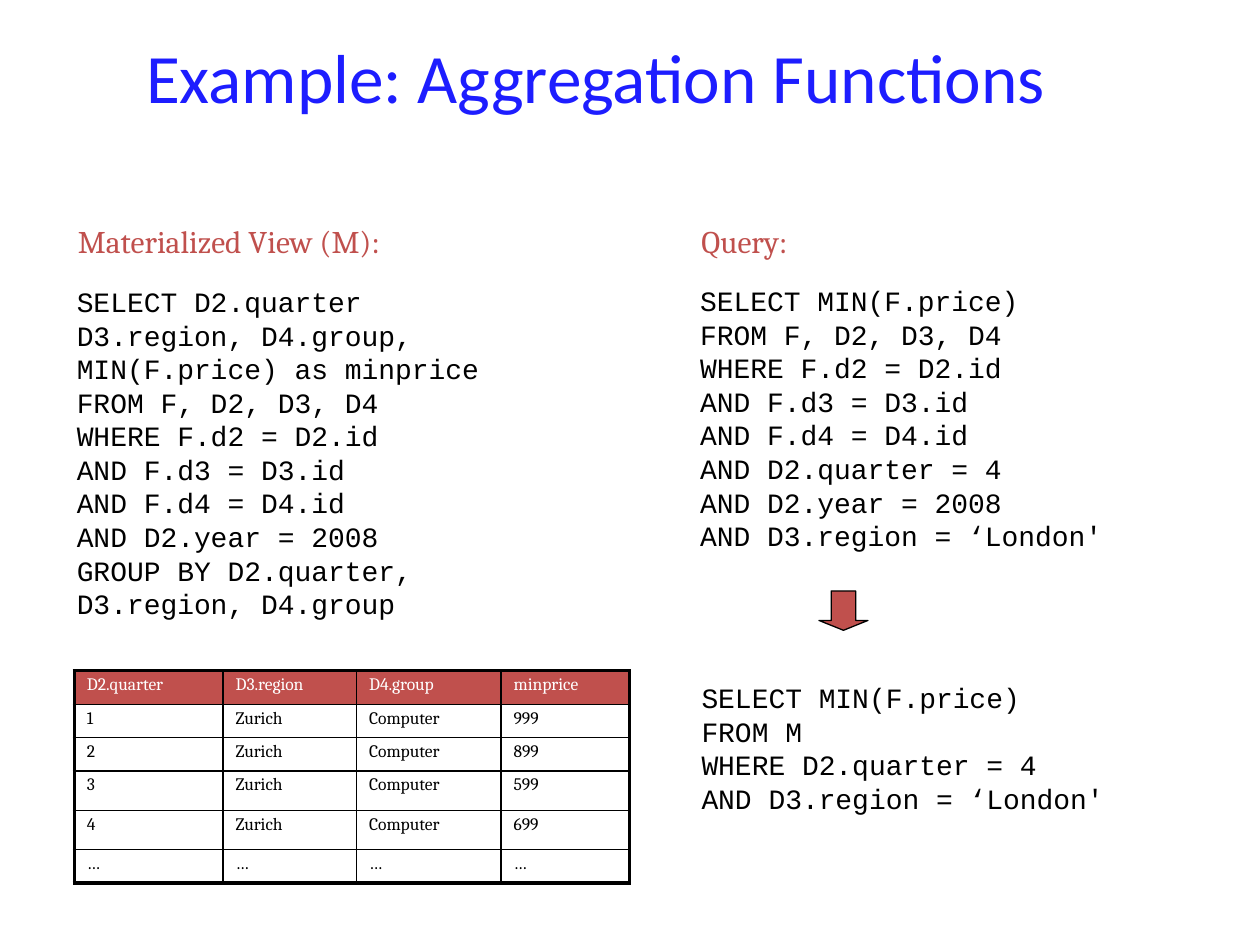
import lxml.etree
import pptx
import pptx.dml.color
import pptx.enum.shapes
import pptx.enum.text
import pptx.oxml.ns
import pptx.util

Pt = pptx.util.Pt
qn = pptx.oxml.ns.qn
COLORS = {"title": "1D1DFF", "accent": "C0504D", "ink": "000000", "paper": "FFFFFF"}


def color(name):
    return pptx.dml.color.RGBColor.from_string(COLORS[name])


def write(frame, text, font, size, color_name):
    """Fill a text frame and give every run the same font."""
    frame.text = text
    for para in frame.paragraphs:
        for span in para.runs:
            span.font.name = font
            span.font.size = Pt(size)
            span.font.color.rgb = color(color_name)


deck = pptx.Presentation()
deck.slide_width, deck.slide_height = Pt(720), Pt(540)
page = deck.slides.add_slide(deck.slide_layouts[6])

# Title
title = page.shapes.add_textbox(Pt(15), Pt(15), Pt(651), Pt(57)).text_frame
title.word_wrap = True
title.vertical_anchor = pptx.enum.text.MSO_ANCHOR.MIDDLE
write(title, "Example: Aggregation Functions", "Calibri", 39.6, "title")
title.paragraphs[0].alignment = pptx.enum.text.PP_ALIGN.CENTER

# Headings
for left, top, text in [(37.5, 126, "Materialized View (M):"), (393.8, 125.5, "Query:")]:
    heading = page.shapes.add_textbox(Pt(left), Pt(top), Pt(318), Pt(356)).text_frame
    heading.word_wrap = True
    write(heading, text, "Cambria", 18, "accent")
    para = heading.paragraphs[0]
    para.line_spacing = 0.9
    para.space_before = Pt(5.4)
    properties = para._p.get_or_add_pPr()
    properties.set("marL", str(Pt(22.5)))
    properties.set("indent", str(-Pt(22.5)))

# SQL statements
VIEW_SQL = """SELECT D2.quarter
D3.region, D4.group,
MIN(F.price) as minprice
FROM F, D2, D3, D4
WHERE F.d2 = D2.id
AND F.d3 = D3.id
AND F.d4 = D4.id
AND D2.year = 2008
GROUP BY D2.quarter,
D3.region, D4.group"""
QUERY_SQL = """SELECT MIN(F.price)
FROM F, D2, D3, D4
WHERE F.d2 = D2.id
AND F.d3 = D3.id
AND F.d4 = D4.id
AND D2.quarter = 4
AND D2.year = 2008
AND D3.region = ‘London'"""
REWRITTEN_SQL = """SELECT MIN(F.price)
FROM M
WHERE D2.quarter = 4
AND D3.region = ‘London'"""

for left, top, height, sql in [
    (36.8, 159, 201, VIEW_SQL),
    (393, 158.5, 163, QUERY_SQL),
    (393.8, 385.3, 85, REWRITTEN_SQL),
]:
    code = page.shapes.add_textbox(Pt(left), Pt(top), Pt(248), Pt(height)).text_frame
    code.word_wrap = False
    code.auto_size = pptx.enum.text.MSO_AUTO_SIZE.SHAPE_TO_FIT_TEXT
    write(code, sql, "Courier New", 16, "ink")

# Contents of the materialized view
prices = ["999", "899", "599", "699"]
rows = [["D2.quarter", "D3.region", "D4.group", "minprice"]]
rows += [[str(quarter), "Zurich", "Computer", price] for quarter, price in enumerate(prices, 1)]
rows.append(["…"] * 4)
widths = [85, 76.3, 82.6, 73.5]
heights = [19.2, 19, 19.2, 22.4, 22.4, 19]

table = page.shapes.add_table(
    len(rows), len(widths), Pt(42.5), Pt(383.3), Pt(sum(widths)), Pt(sum(heights))
).table
for column, width in zip(table.columns, widths):
    column.width = Pt(width)
for row, height in zip(table.rows, heights):
    row.height = Pt(height)

for i, values in enumerate(rows):
    for j, value in enumerate(values):
        cell = table.cell(i, j)
        cell.margin_left = cell.margin_right = Pt(7.2)
        cell.margin_top = cell.margin_bottom = Pt(3)
        write(cell.text_frame, value, "Cambria", 10, "ink" if i else "paper")
        para = cell.text_frame.paragraphs[0]
        para.line_spacing = 0.9
        para.space_before = Pt(3)
        if i == 0:
            cell.fill.solid()
            cell.fill.fore_color.rgb = color("accent")
        else:
            cell.fill.background()
        outer_edges = {
            "a:lnL": j == 0,
            "a:lnR": j == len(widths) - 1,
            "a:lnT": i == 0,
            "a:lnB": i == len(rows) - 1,
        }
        properties = cell._tc.get_or_add_tcPr()
        for position, (tag, is_outer) in enumerate(outer_edges.items()):
            border = lxml.etree.Element(qn(tag), w=str(Pt(2.25 if is_outer else 1)))
            fill = lxml.etree.SubElement(border, qn("a:solidFill"))
            lxml.etree.SubElement(fill, qn("a:srgbClr"), val=COLORS["ink"])
            properties.insert(position, border)

# Arrow from the query to its rewritten form
arrow = page.shapes.add_shape(
    pptx.enum.shapes.MSO_SHAPE.DOWN_ARROW, Pt(468), Pt(337.7), Pt(28), Pt(22.5)
)
arrow.adjustments[0], arrow.adjustments[1] = 0.5, 0.25
arrow.shadow.inherit = False
arrow.fill.solid()
arrow.fill.fore_color.rgb = color("accent")
arrow.line.color.rgb = color("ink")
arrow.line.width = Pt(0.75)

deck.save("out.pptx")
